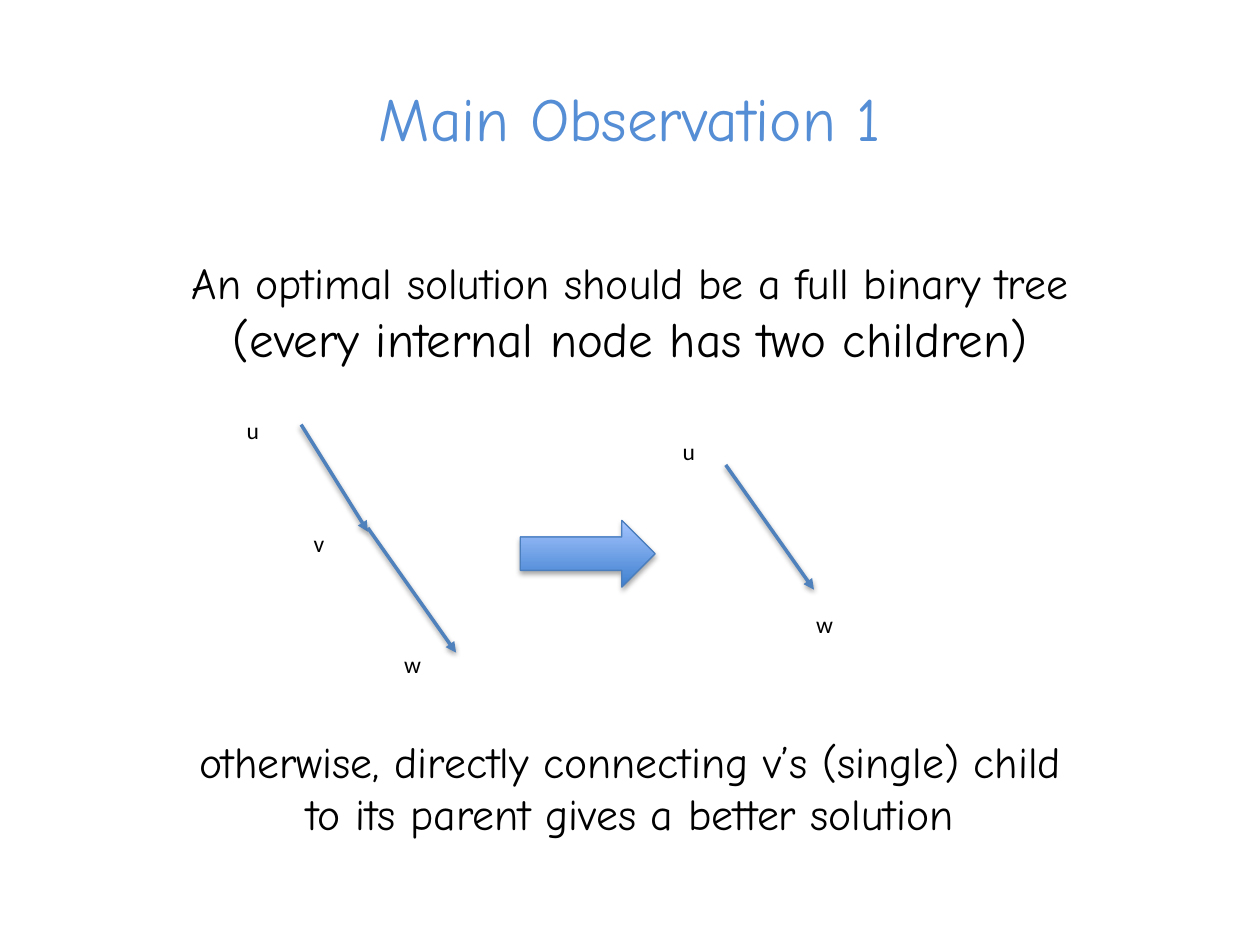
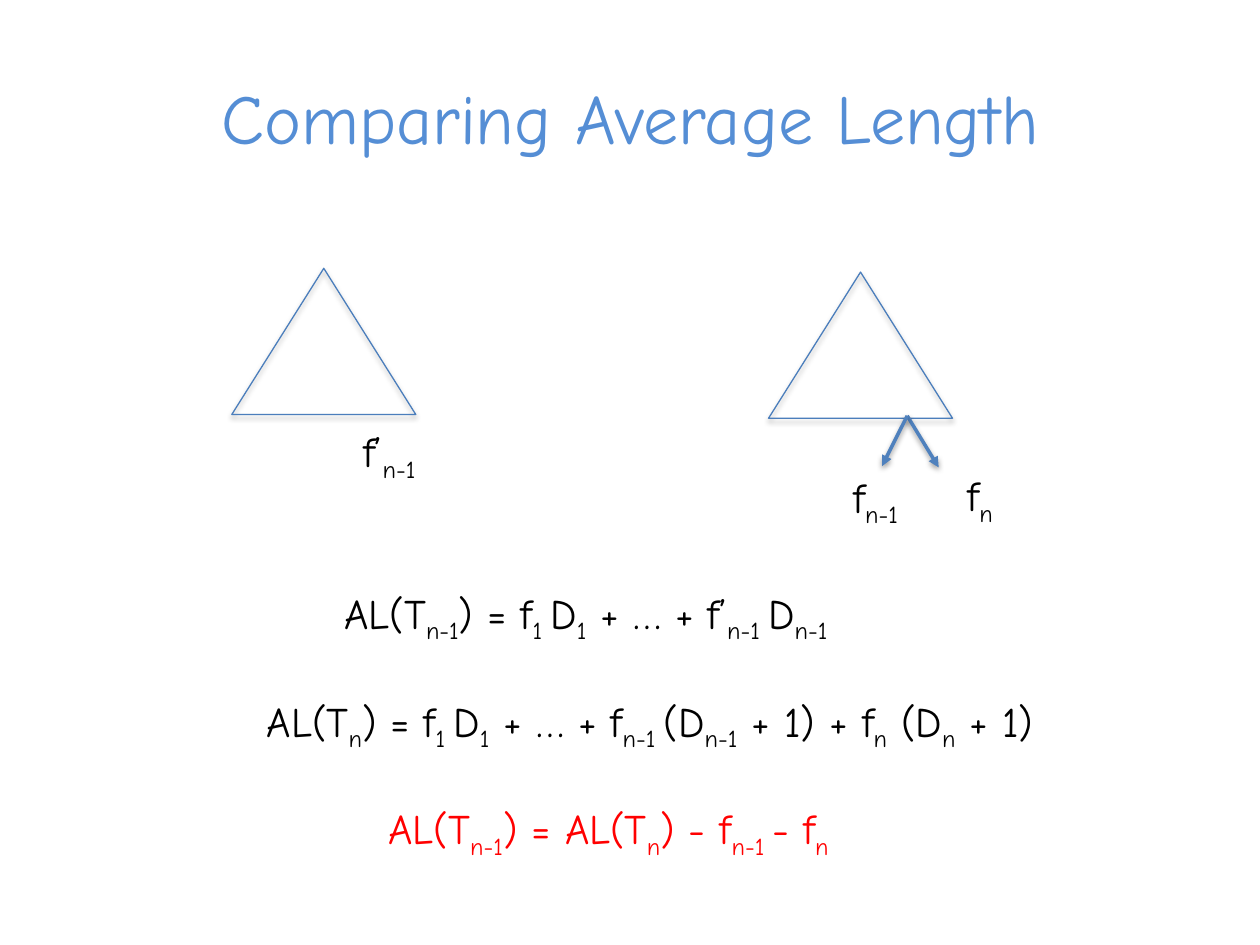
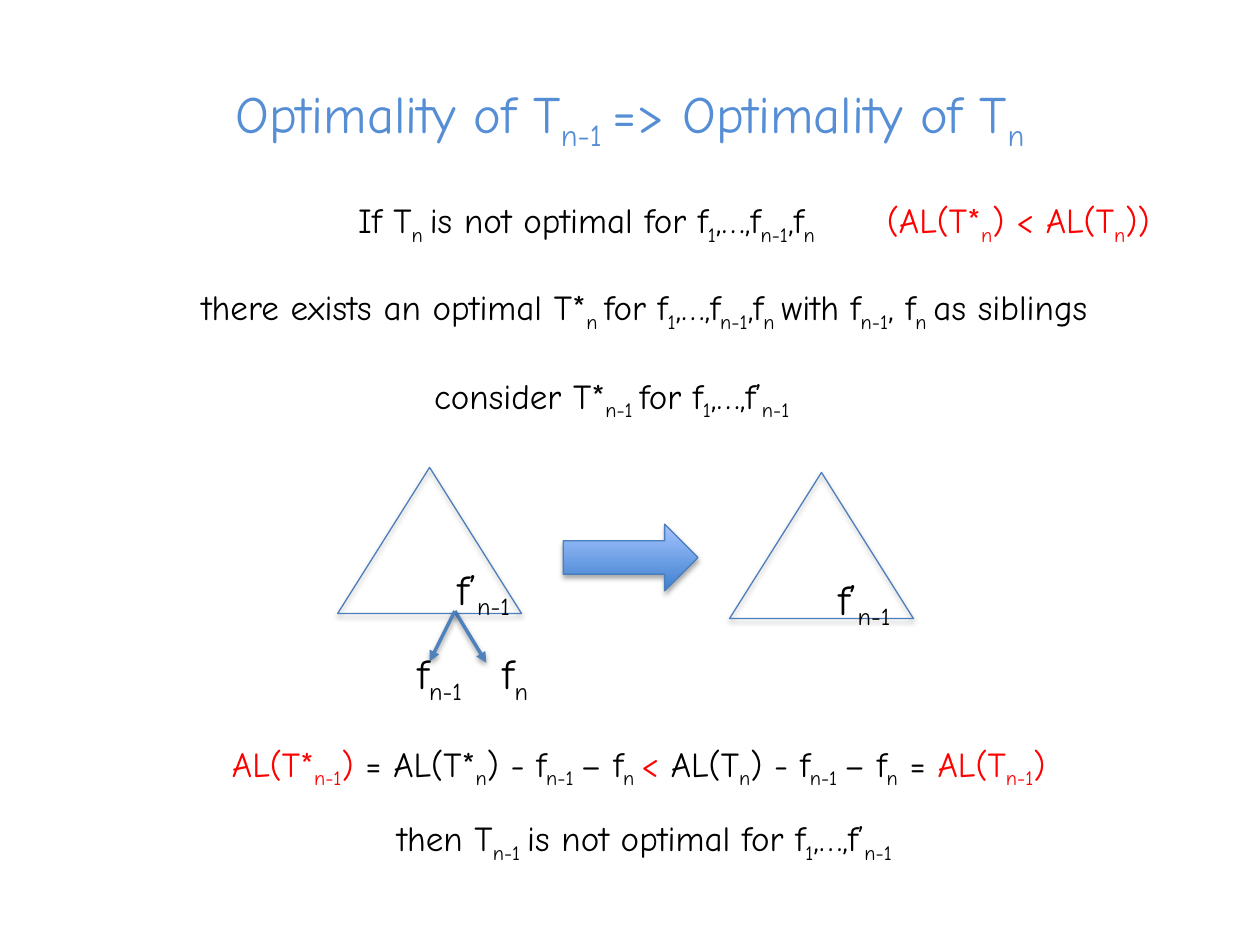
import dataclasses

import lxml.etree
import pptx
import pptx.dml.color
import pptx.enum.dml
import pptx.enum.shapes
import pptx.enum.text
import pptx.oxml.ns
import pptx.util

Inches = pptx.util.Inches
Pt = pptx.util.Pt
Color = pptx.dml.color.RGBColor
Align = pptx.enum.text.PP_ALIGN
Kind = pptx.enum.shapes.MSO_SHAPE

# Shared look
BLUE = Color(0x55, 0x8E, 0xD5)
BLACK = Color(0, 0, 0)
RED = Color(0xFF, 0, 0)
EDGE = Color(0x4F, 0x81, 0xBD)
RIM = Color(0x4B, 0x7E, 0xBC)
DARK = Color(0x3F, 0x80, 0xCE)
LIGHT = Color(0xA4, 0xC4, 0xFF)
HAND = "Comic Neue"
PLAIN = "Calibri"
TITLE_ONLY = 5
INDENT = 1.54  # left inset of the labels under a tree


@dataclasses.dataclass
class Text:
    """Words in a box: _ starts and ends a subscript, | starts and ends red."""
    left: float
    top: float
    width: float
    height: float
    words: str
    size: float = 20
    font: str = HAND
    tone: Color = BLACK
    align: Align = Align.CENTER
    inset: float = 0.1
    wrap: bool = True


@dataclasses.dataclass
class Arrow:
    x1: float
    y1: float
    x2: float
    y2: float


# Text
def write(frame, item: Text) -> None:
    frame.word_wrap = item.wrap
    frame.auto_size = pptx.enum.text.MSO_AUTO_SIZE.SHAPE_TO_FIT_TEXT
    frame.margin_left = Inches(item.inset)
    for row, line in enumerate(item.words.split("\n")):
        para = frame.add_paragraph() if row else frame.paragraphs[0]
        para.alignment = item.align
        for i, part in enumerate(line.split("|")):
            for j, piece in enumerate(part.split("_")):
                if not piece:
                    continue
                run = para.add_run()
                run.text = piece
                run.font.name = item.font
                run.font.size = Pt(item.size)
                run.font.color.rgb = RED if i % 2 else item.tone
                if j % 2:
                    run.font._element.set("baseline", "-25000")


def add_text(slide, item: Text):
    box = slide.shapes.add_textbox(Inches(item.left), Inches(item.top),
                                   Inches(item.width), Inches(item.height))
    write(box.text_frame, item)
    return box


def add_slide(deck, words: str, size: float, top: float, height: float):
    slide = deck.slides.add_slide(deck.slide_layouts[TITLE_ONLY])
    title = slide.shapes.title
    title.left, title.top = Inches(0.5), Inches(top)
    title.width, title.height = Inches(9), Inches(height)
    title.text_frame.vertical_anchor = pptx.enum.text.MSO_ANCHOR.MIDDLE
    write(title.text_frame, Text(0.5, top, 9, height, words, size, tone=BLUE))
    return slide


def label(left: float, top: float, words: str) -> Text:
    return Text(left, top, 2.14, 0.5, words, 24, inset=INDENT)


def node(left: float, top: float, width: float, words: str) -> Text:
    return Text(left, top, width, 0.33, words, 13.5, PLAIN, align=Align.LEFT)


# Shapes
def shade(shape, dist: int, alpha: int) -> None:
    qn = pptx.oxml.ns.qn
    sub = lxml.etree.SubElement
    props = shape._element.spPr
    for old in props.findall(qn("a:effectLst")):
        props.remove(old)
    shadow = sub(sub(props, qn("a:effectLst")), qn("a:outerShdw"), blurRad="40000",
                 dist=str(dist), dir="5400000", rotWithShape="0")
    tint = sub(shadow, qn("a:srgbClr"), val="000000")
    sub(tint, qn("a:alpha"), val=str(alpha * 1000))


def add_arrow(slide, item: Arrow) -> None:
    line = slide.shapes.add_connector(
        pptx.enum.shapes.MSO_CONNECTOR.STRAIGHT, Inches(item.x1), Inches(item.y1),
        Inches(item.x2), Inches(item.y2))
    line.line.color.rgb = EDGE
    line.line.width = Pt(2)
    lxml.etree.SubElement(line.line._get_or_add_ln(), pptx.oxml.ns.qn("a:tailEnd"),
                          type="triangle")
    shade(line, 20000, 38)


def add_shape(slide, kind: Kind, left: float, top: float, width: float, height: float):
    shape = slide.shapes.add_shape(kind, Inches(left), Inches(top),
                                   Inches(width), Inches(height))
    shape.fill.background()
    shape.line.color.rgb = RIM
    shape.line.width = Pt(0.75)
    return shape


def add_tree(slide, left: float, top: float) -> None:
    shade(add_shape(slide, Kind.ISOSCELES_TRIANGLE, left, top, 1.46, 1.16), 23000, 35)


def add_fork(slide, x: float, y: float) -> None:
    add_arrow(slide, Arrow(x, y, x + 0.25, y + 0.41))
    add_arrow(slide, Arrow(x, y, x - 0.2, y + 0.4))


def add_step(slide, left: float, top: float) -> None:
    step = add_shape(slide, Kind.RIGHT_ARROW, left, top, 1.07, 0.53)
    step.fill.gradient()
    step.fill.gradient_angle = 90
    for stop, place, tone in zip(step.fill.gradient_stops, (0, 1), (DARK, LIGHT)):
        stop.position = place
        stop.color.rgb = tone
    shade(step, 23000, 35)


# Slides
def show_main(deck) -> None:
    slide = add_slide(deck, "Main Observation 1", 35, 0.58, 0.69)
    claim = add_text(slide, Text(
        0.5, 1.98, 9, 0.99, "An optimal solution should be a full binary tree\n"
        "(every internal node has two children)", 25))
    claim.text_frame.paragraphs[1].runs[0].font.size = Pt(28)
    add_text(slide, Text(
        0.5, 5.78, 9, 0.94, "otherwise, directly connecting v’s (single) child\n"
        "to its parent gives a better solution", 25))
    for item in (Arrow(2.39, 3.37, 2.92, 4.22), Arrow(2.92, 4.19, 3.62, 5.18),
                 Arrow(5.76, 3.69, 6.46, 4.68)):
        add_arrow(slide, item)
    for item in (node(1.86, 3.25, 0.53, "u"), node(2.39, 4.15, 0.53, "v"),
                 node(3.11, 5.11, 0.35, "w"), node(5.32, 3.42, 0.53, "u"),
                 node(6.38, 4.79, 1.94, "w")):
        add_text(slide, item)
    add_step(slide, 4.13, 4.13)


def show_length(deck) -> None:
    slide = add_slide(deck, "Comparing Average Length", 40, 0.54, 0.77)
    add_tree(slide, 1.84, 2.13)
    add_tree(slide, 6.1, 2.16)
    add_fork(slide, 7.2, 3.3)
    for item in (
            label(1.3, 3.33, "f’_n-1_"),
            label(5.16, 3.69, "f_n-1_"),
            label(5.99, 3.68, "f_n_"),
            Text(0.15, 4.61, 9, 0.5,
                 "AL(T_n-1_) = f_1 _D_1_ + … + f’_n-1 _D_n-1_", 24),
            Text(0.66, 5.47, 9, 0.5,
                 "AL(T_n_) = f_1 _D_1_ + … + f_n-1 _(D_n-1_ + 1) + f_n_ (D_n_ + 1)", 24),
            Text(0.33, 6.32, 9, 0.5,
                 "|AL(T_n-1_) = AL(T_n_) - f_n-1 _- f_n_|", 24)):
        add_text(slide, item)


def show_proof(deck) -> None:
    slide = add_slide(deck, "Optimality of T_n-1 _=> Optimality of T_n_", 30, 0.62, 0.61)
    add_tree(slide, 5.79, 3.75)
    add_tree(slide, 2.68, 3.71)
    add_fork(slide, 3.61, 4.85)
    add_step(slide, 4.47, 4.16)
    for item in (
            Text(1.05, 1.53, 7.21, 0.44, "If T_n _is not optimal for f_1_,…,f_n-1_,f_n_"),
            Text(6.94, 1.53, 2.63, 0.44, "|(AL(T*_n_) < AL(T_n_))|",
                 align=Align.LEFT, wrap=False),
            Text(0.47, 2.22, 9.29, 0.44, "there exists an optimal T*_n _for "
                 "f_1_,…,f_n-1_,f_n _with f_n-1_, f_n _as siblings"),
            Text(0.21, 2.92, 9.29, 0.44, "consider T*_n-1 _for f_1_,…,f’_n-1_"),
            label(5.07, 4.5, "f’_n-1_"),
            label(1.7, 5.09, "f_n-1_"),
            label(2.3, 5.09, "f_n_"),
            label(2.05, 4.42, "f’_n-1_"),
            Text(0.57, 5.84, 9, 0.44,
                 "|AL(T*_n-1_) |= AL(T*_n_) - f_n-1 _– f_n _|< |"
                 "AL(T_n_) - f_n-1 _– f_n_ = |AL(T_n-1_)|"),
            Text(1.51, 6.43, 7.21, 0.44,
                 "then T_n-1 _is not optimal for f_1_,…,f’_n-1_")):
        add_text(slide, item)


def main() -> None:
    deck = pptx.Presentation()
    deck.slide_width, deck.slide_height = Inches(10), Inches(7.5)
    show_main(deck)
    show_length(deck)
    show_proof(deck)
    deck.save("out.pptx")


if __name__ == "__main__":
    main()
